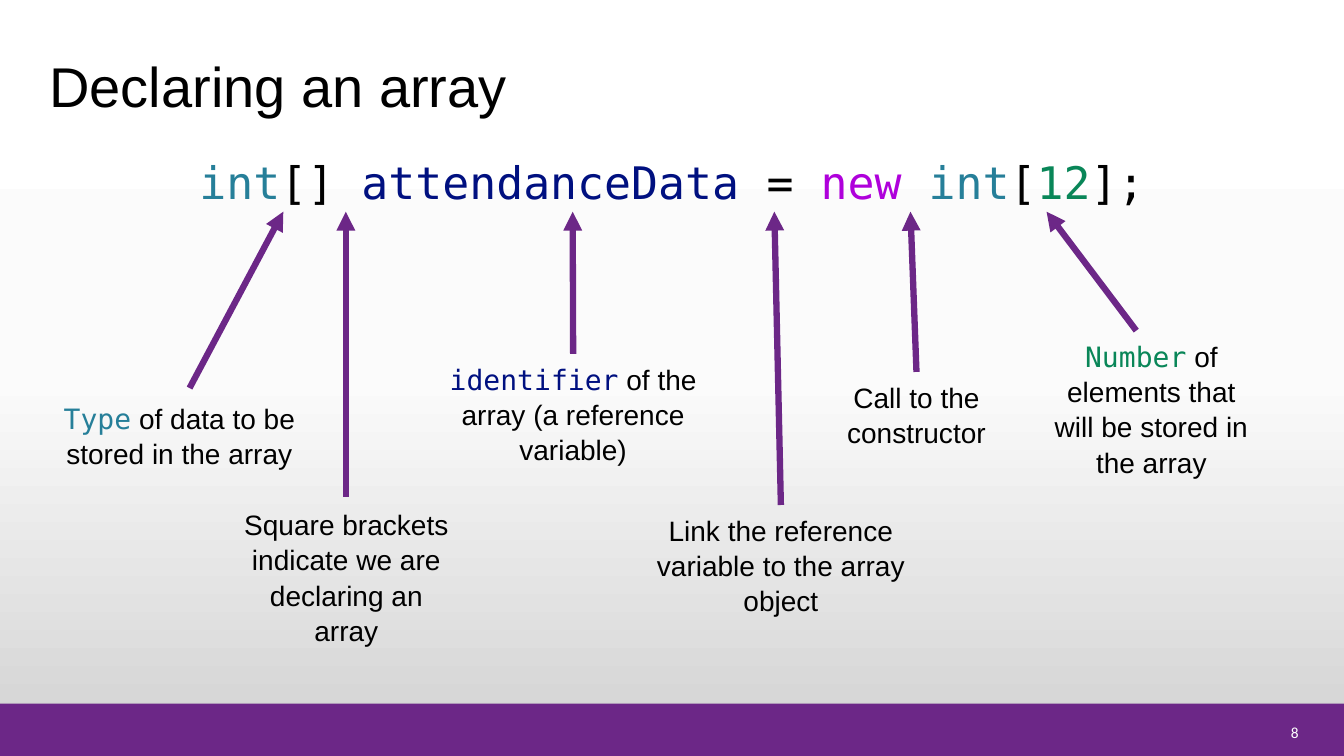
from copy import deepcopy
from typing import NamedTuple, Optional

from lxml import etree
from pptx import Presentation
from pptx import util as u
from pptx.dml.color import RGBColor
from pptx.enum import shapes, text
from pptx.oxml.ns import qn

BLACK = RGBColor(0x00, 0x00, 0x00)
WHITE = RGBColor(0xFF, 0xFF, 0xFF)
PURPLE = RGBColor(0x6C, 0x27, 0x87)
TYPE_TEAL = RGBColor(0x26, 0x7F, 0x99)
NAME_NAVY = RGBColor(0x00, 0x10, 0x80)
KEYWORD_VIOLET = RGBColor(0xAF, 0x00, 0xDB)
NUMBER_GREEN = RGBColor(0x09, 0x86, 0x58)
BACKDROP = [(0, WHITE), (0.5, RGBColor(0xFB, 0xFB, 0xFB)), (1, RGBColor(0xD1, 0xD1, 0xD1))]

PLAIN, CODE, FOOTER = "Arial", "DejaVu Sans Mono", "Calibri"
ARROW_TIP_Y = 2.1


class Span(NamedTuple):
    words: str
    color: RGBColor = BLACK
    font: str = PLAIN


class Box(NamedTuple):
    left: float
    top: float
    width: float
    height: float


class Callout(NamedTuple):
    box: Box
    spans: list[Span]
    tip_x: float
    start: Optional[tuple[float, float]] = None  # None: the middle of the box's top


STATEMENT = [
    Span(words, color, CODE)
    for words, color in [
        ("int", TYPE_TEAL), ("[] ", BLACK), ("attendanceData", NAME_NAVY),
        (" = ", BLACK), ("new ", KEYWORD_VIOLET), ("int", TYPE_TEAL),
        ("[", BLACK), ("12", NUMBER_GREEN), ("];", BLACK),
    ]
]

CALLOUTS = [
    Callout(Box(0.36, 3.69, 2.84, 1.25),
            [Span("Type", TYPE_TEAL, CODE), Span(" of data to be stored in the array")],
            2.81, (1.88, 3.85)),
    Callout(Box(2.24, 5.07, 2.39, 1.3),
            [Span("Square brackets indicate we are declaring an array")],
            3.43, (3.43, 4.93)),
    Callout(Box(4.27, 3.51, 2.83, 1.18),
            [Span("identifier", NAME_NAVY, CODE), Span(" of the array (a reference variable)")],
            5.68),
    Callout(Box(7.99, 3.69, 2.2, 0.83), [Span("Call to the constructor")], 9.03),
    Callout(Box(10.32, 3.46, 2.2, 1.18),
            [Span("Number", NUMBER_GREEN, CODE),
             Span(" of elements that will be stored in the array")],
            10.38, (11.27, 3.28)),
    Callout(Box(6.27, 5.01, 2.95, 1.18),
            [Span("Link the reference variable to the array object")], 7.68),
]


def set_all(target, values: dict) -> None:
    for name, value in values.items():
        setattr(target, name, value)


def inches(box: Box) -> list[u.Length]:
    return [u.Inches(length) for length in box]


def place(shape, box: Box) -> None:
    set_all(shape, dict(zip(("left", "top", "width", "height"), inches(box))))


def write(shape, spans: list[Span], size: int, align, anchor, spacing: float = 1.0):
    """Fill the shape with one paragraph of spans and return that paragraph."""
    frame = shape.text_frame
    set_all(frame, {"word_wrap": True, "auto_size": text.MSO_AUTO_SIZE.NONE,
                    "vertical_anchor": anchor})
    para = frame.paragraphs[0]
    set_all(para, {"alignment": align, "line_spacing": spacing})
    for span in spans:
        run = para.add_run()
        run.text = span.words
        set_all(run.font, {"name": span.font, "size": u.Pt(size)})
        run.font.color.rgb = span.color
    return para


def paint_background(page) -> None:
    fill = page.background.fill
    fill.gradient()
    fill.gradient_angle = 270
    stop_list = page.element.find(".//" + qn("a:gsLst"))
    stop_list.insert(1, deepcopy(stop_list[0]))
    for stop, (position, color) in zip(fill.gradient_stops, BACKDROP):
        stop.position = position
        stop.color.rgb = color


def add_footer(page) -> None:
    band = page.shapes.add_shape(shapes.MSO_SHAPE.RECTANGLE, *inches(Box(0, 6.98, 13.33, 0.52)))
    band.shadow.inherit = False
    band.fill.solid()
    band.fill.fore_color.rgb = PURPLE
    band.line.fill.background()
    number = page.shapes.add_textbox(*inches(Box(12.23, 7.12, 0.75, 0.23)))
    write(number, [Span("8", WHITE, FOOTER)], 11, text.PP_ALIGN.RIGHT, text.MSO_ANCHOR.TOP)


def add_headings(page) -> None:
    title, body = page.placeholders
    place(title, Box(0.39, 0.36, 10.36, 0.87))
    write(title, [Span("Declaring an array")], 40, text.PP_ALIGN.LEFT, text.MSO_ANCHOR.BOTTOM)
    place(body, Box(0.39, 1.46, 12.55, 5.35))
    para = write(body, STATEMENT, 32, text.PP_ALIGN.CENTER, text.MSO_ANCHOR.TOP, 1.05)
    para.space_before = u.Pt(10)
    properties = para._p.get_or_add_pPr()
    properties.set("marL", "0")
    properties.set("indent", "0")
    etree.SubElement(properties, qn("a:buNone"))


def add_callout(page, callout: Callout) -> None:
    label = page.shapes.add_textbox(*inches(callout.box))
    write(label, callout.spans, 20, text.PP_ALIGN.CENTER, text.MSO_ANCHOR.MIDDLE, 1.05)
    box = callout.box
    start = callout.start or (box.left + box.width / 2, box.top)
    arrow = page.shapes.add_connector(
        shapes.MSO_CONNECTOR.STRAIGHT,
        *[u.Inches(value) for value in (*start, callout.tip_x, ARROW_TIP_Y)])
    if callout.start is None:
        arrow.begin_connect(label, 0)
    arrow.line.width = u.Pt(4.5)
    arrow.line.color.rgb = PURPLE
    etree.SubElement(arrow.line._get_or_add_ln(), qn("a:tailEnd"), type="triangle")
    etree.SubElement(arrow._element.spPr, qn("a:effectLst"))


def main() -> None:
    deck = Presentation()
    set_all(deck, {"slide_width": u.Inches(13.33), "slide_height": u.Inches(7.5)})
    page = deck.slides.add_slide(deck.slide_layouts[1])
    paint_background(page)
    add_headings(page)
    add_footer(page)
    for callout in CALLOUTS:
        add_callout(page, callout)
    deck.save("out.pptx")


if __name__ == "__main__":
    main()
